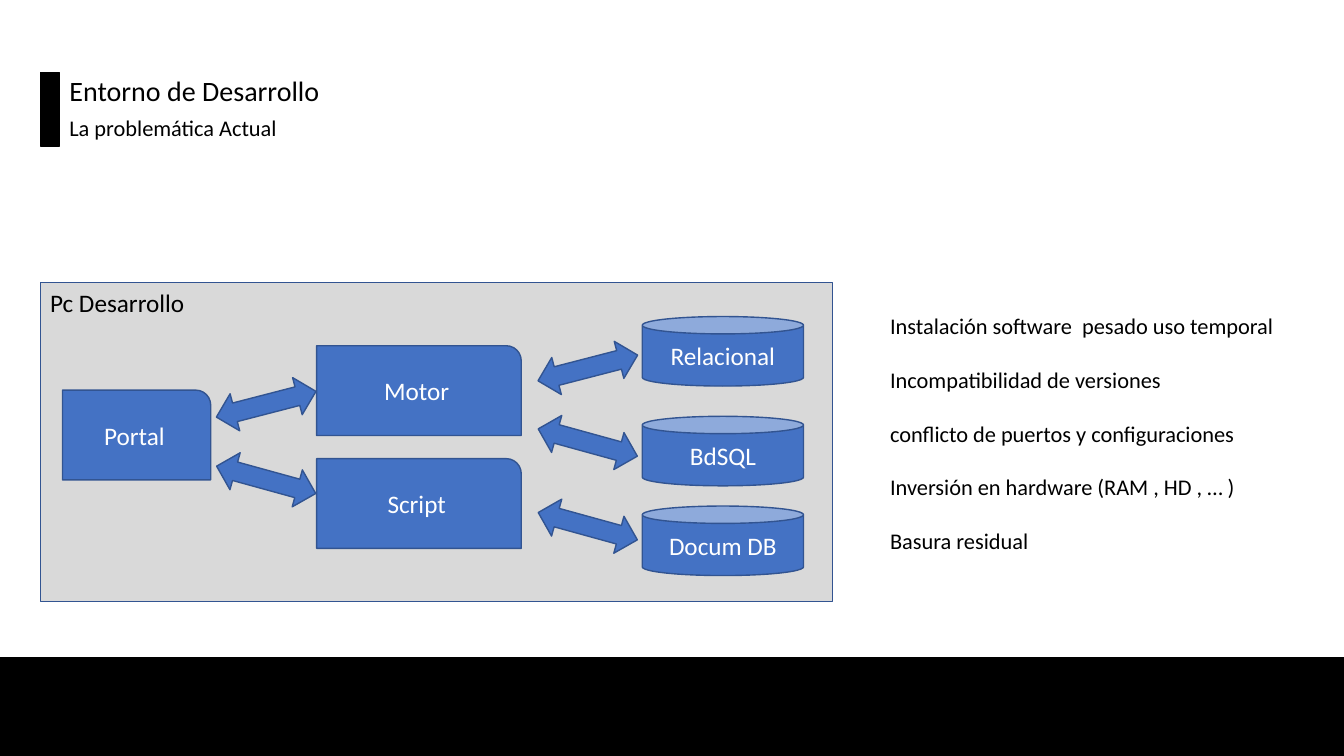
from pptx import Presentation
from pptx.dml.color import RGBColor
from pptx.enum.shapes import MSO_SHAPE as Shape
from pptx.enum.text import MSO_ANCHOR as Anchor, PP_ALIGN as Align
from pptx.util import Inches, Pt

BLACK = RGBColor(0, 0, 0)
WHITE = RGBColor(255, 255, 255)
GRAY = RGBColor(0xD9, 0xD9, 0xD9)
BLUE = RGBColor(0x44, 0x72, 0xC4)
NAVY = RGBColor(0x32, 0x54, 0x91)

WIDE, HIGH = 13.33, 7.5
EDGE = 0.03 * WIDE
TITLE = "Entorno de Desarrollo"
TOPIC = "La problemática Actual"
HOST = "Pc Desarrollo"
ISSUES = [
    "Instalación software  pesado uso temporal",
    "Incompatibilidad de versiones",
    "conflicto de puertos y configuraciones",
    "Inversión en hardware (RAM , HD , … )",
    "Basura residual",
]
TIERS = [
    (Shape.ROUND_1_RECTANGLE, 0.62, 1.47, 0.89, [("Portal", 3.87)]),
    (Shape.ROUND_1_RECTANGLE, 3.14, 2.03, 0.89, [("Motor", 3.43), ("Script", 4.55)]),
    (Shape.CAN, 6.37, 1.6, 0.69, [("Relacional", 3.14), ("BdSQL", 4.13), ("Docum DB", 5.02)]),
]
UP, DOWN = 255.5, 285.4
LINKS = [
    (2.45, [(3.5, UP), (4.25, DOWN)]),
    (5.64, [(3.14, UP), (3.88, DOWN), (4.71, DOWN)]),
]


def write(item, *lines, size=18, color=BLACK, align=Align.LEFT, anchor=Anchor.TOP, gap=0):
    frame = item.text_frame
    frame.word_wrap = True
    frame.vertical_anchor = anchor
    for i, line in enumerate(lines):
        para = frame.add_paragraph() if i else frame.paragraphs[0]
        para.alignment = align
        para.space_before = Pt(gap if i else 0)
        run = para.add_run()
        run.text = line
        run.font.name = "Calibri"
        run.font.size = Pt(size)
        run.font.color.rgb = color


def draw(slide, kind, *area, fill=BLUE, line=NAVY, turn=0):
    item = slide.shapes.add_shape(kind, *map(Inches, area))
    item.shadow.inherit = False
    item.fill.solid()
    item.fill.fore_color.rgb = fill
    item.line.color.rgb = line
    item.line.width = Pt(1)
    item.rotation = turn
    return item


def label(slide, area, *lines, **style):
    write(slide.shapes.add_textbox(*map(Inches, area)), *lines, **style)


def main():
    """Build the development environment slide."""
    deck = Presentation()
    deck.slide_width, deck.slide_height = Inches(WIDE), Inches(HIGH)
    slide = deck.slides.add_slide(deck.slide_layouts[6])
    foot = 0.87 * HIGH
    draw(slide, Shape.RECTANGLE, 0, foot, WIDE, HIGH - foot, fill=BLACK, line=BLACK)
    draw(slide, Shape.RECTANGLE, EDGE, 0.72, 0.19, 0.73, fill=BLACK, line=BLACK)
    label(slide, (0.59, 0.68, 4.16, 0.44), TITLE, size=20)
    label(slide, (0.59, 1.08, 4.16, 0.37), TOPIC, size=16)
    write(draw(slide, Shape.RECTANGLE, EDGE, 2.8, 7.86, 3.17, fill=GRAY), HOST)
    for kind, left, width, height, nodes in TIERS:
        for name, top in nodes:
            node = draw(slide, kind, left, top, width, height)
            write(node, name, color=WHITE, align=Align.CENTER, anchor=Anchor.MIDDLE)
    for left, arrows in LINKS:
        for top, turn in arrows:
            draw(slide, Shape.UP_DOWN_ARROW, left, top, 0.38, 1.02, turn=turn)
    label(slide, (8.73, 3.05, 4.16, 2.52), *ISSUES, size=16, gap=19.2)
    deck.save("out.pptx")


if __name__ == "__main__":
    main()
